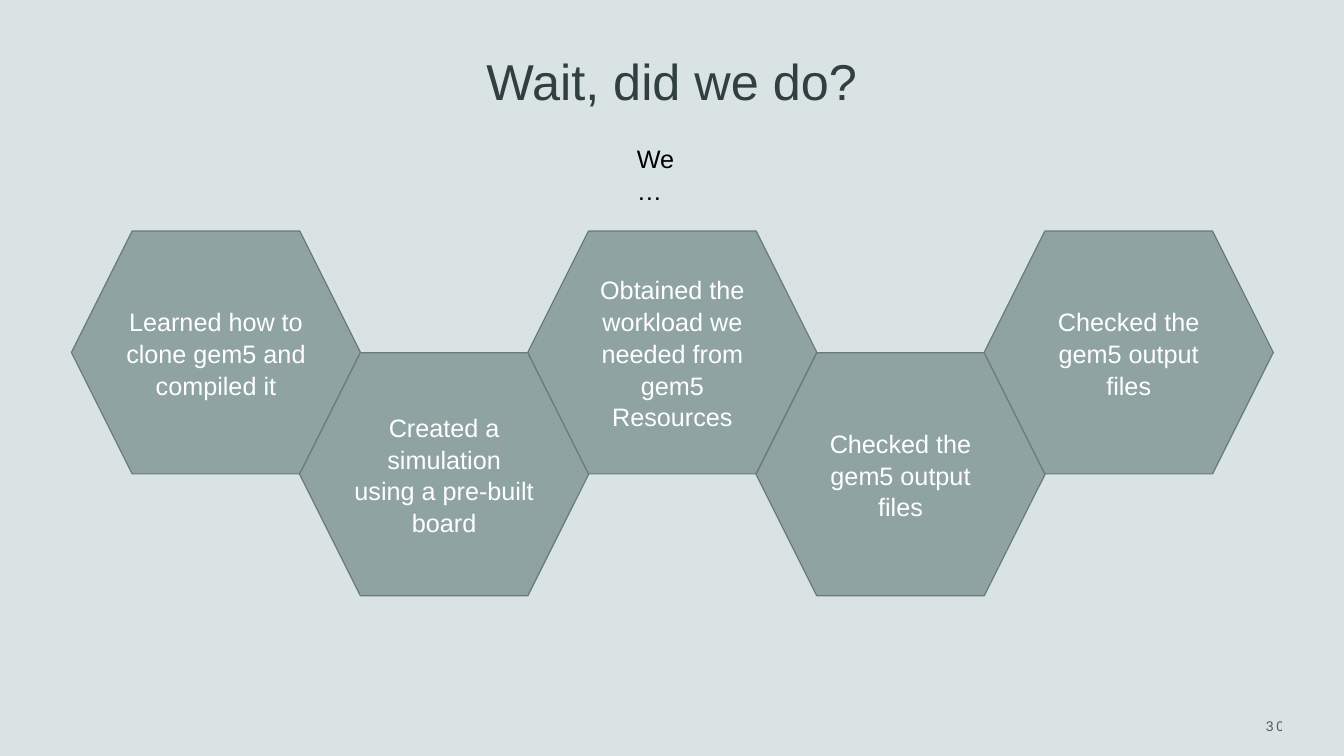
from lxml.etree import SubElement
from pptx import Presentation
from pptx.dml.color import RGBColor
from pptx.enum.shapes import MSO_SHAPE
from pptx.enum.text import MSO_ANCHOR, PP_ALIGN
from pptx.oxml.ns import qn
from pptx.util import Pt

COLORS = {
    "back": "DAE3E3",
    "title": "303F3F",
    "fill": "8FA3A3",
    "line": "6A7979",
    "text": "000000",
    "white": "FFFFFF",
}
STEPS = [
    "Learned how to clone gem5 and compiled it",
    "Created a simulation using a pre-built board",
    "Obtained the workload we needed from gem5 Resources",
    "Checked the gem5 output files",
    "Checked the gem5 output files",
]
LEFT, TOP, WIDTH, HEIGHT = 51, 165, 206.5, 173.5
STRIDE, DROP = 163, 87


def color(name):
    return RGBColor.from_string(COLORS[name])


def place(shape, left, top, width, height):
    shape.left, shape.top = Pt(left), Pt(top)
    shape.width, shape.height = Pt(width), Pt(height)


def write(shape, text, size, ink, align, anchor, spacing=1.0):
    frame = shape.text_frame
    frame.word_wrap = True
    frame.vertical_anchor = anchor
    para = frame.paragraphs[0]
    para.alignment = align
    para.line_spacing = spacing
    run = para.add_run()
    run.text = text
    run.font.name = "Arial"
    run.font.size = Pt(size)
    run.font.color.rgb = color(ink)
    return run


def add_title(slide, text):
    title = slide.shapes.title
    place(title, 77.8, 31, 804.2, 51.8)
    write(title, text, 36, "title", PP_ALIGN.CENTER, MSO_ANCHOR.BOTTOM)


def add_label(slide, box, *style):
    label = slide.shapes.add_textbox(*map(Pt, box))
    return write(label, *style)


def add_hexagon(slide, index, text):
    top = TOP + DROP * (index % 2)
    box = (LEFT + STRIDE * index, top, WIDTH, HEIGHT)
    hexagon = slide.shapes.add_shape(MSO_SHAPE.HEXAGON, *map(Pt, box))
    hexagon.shadow.inherit = False
    hexagon.fill.solid()
    hexagon.fill.fore_color.rgb = color("fill")
    hexagon.line.color.rgb = color("line")
    hexagon.line.width = Pt(0.85)
    write(hexagon, text, 18, "white", PP_ALIGN.CENTER, MSO_ANCHOR.MIDDLE, 1.05)


def add_number(slide, text):
    run = add_label(slide, (786.2, 500.4, 138.2, 36), text, 10, "text",
                    PP_ALIGN.RIGHT, MSO_ANCHOR.MIDDLE)
    props = run.font._element
    props.set("spc", "200")
    tint = props.find(".//" + qn("a:srgbClr"))
    SubElement(tint, qn("a:alpha"), val="60000")


def main():
    """Build the recap slide and save it."""
    deck = Presentation()
    deck.slide_width, deck.slide_height = Pt(960), Pt(540)
    slide = deck.slides.add_slide(deck.slide_layouts[5])
    slide.background.fill.solid()
    slide.background.fill.fore_color.rgb = color("back")
    add_title(slide, "Wait, did we do?")
    add_label(slide, (447.8, 97.9, 52.6, 28.8), "We…", 18, "text",
              PP_ALIGN.LEFT, MSO_ANCHOR.TOP, 1.05)
    for index, text in enumerate(STEPS):
        add_hexagon(slide, index, text)
    add_number(slide, "30")
    deck.save("out.pptx")


if __name__ == "__main__":
    main()
